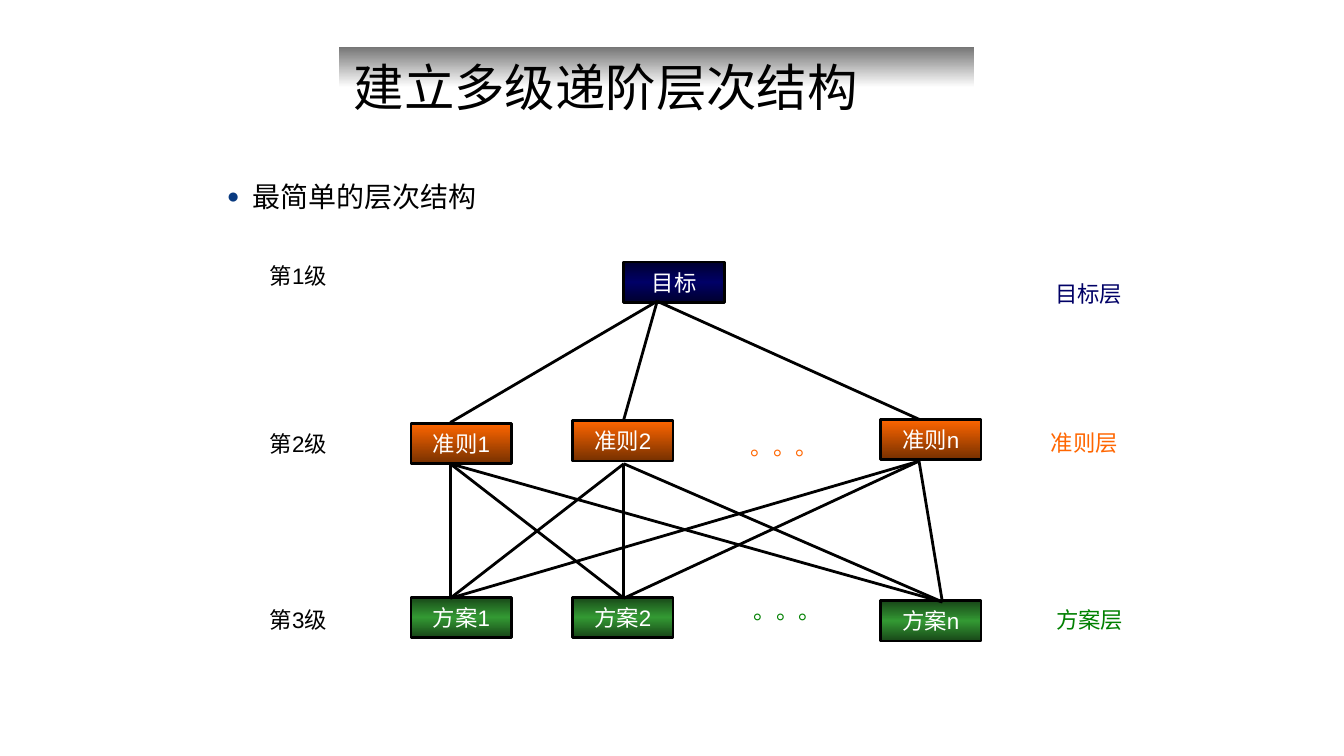
import copy
import itertools

import pptx
import pptx.dml.color
import pptx.enum.shapes
import pptx.enum.text
import pptx.oxml.ns
import pptx.util
from lxml import etree

Cm, Pt = pptx.util.Cm, pptx.util.Pt
qn = pptx.oxml.ns.qn
ALIGN = pptx.enum.text.PP_ALIGN
ANCHOR = pptx.enum.text.MSO_ANCHOR
RECT = pptx.enum.shapes.MSO_SHAPE.RECTANGLE
LINE = pptx.enum.shapes.MSO_CONNECTOR.STRAIGHT

HEX = {"black": "000000", "white": "FFFFFF", "gray": "767676", "bullet": "093A80",
       "navy": "000066", "navy dark": "00002F",
       "orange": "FF6600", "orange dark": "763000",
       "green": "339933", "green dark": "184718", "green text": "008000"}
BAND = ["gray", "white"]
GOAL = ["navy dark", "navy", "navy dark"]
RULE = ["orange", "orange dark"]
PLAN = ["green dark", "green", "green dark"]
NODE_W, NODE_H = 1.9, 0.76


def rgb(name):
    return pptx.dml.color.RGBColor.from_string(HEX[name])


def apply(obj, vals):
    for key, val in vals.items():
        setattr(obj, key, val)


def place(shape, x, y, w, h):
    apply(shape, {"left": Cm(x), "top": Cm(y), "width": Cm(w), "height": Cm(h)})


def write(shape, text, size, color, align=ALIGN.LEFT, anchor=ANCHOR.TOP, wrap=True):
    frame = shape.text_frame
    apply(frame, {"auto_size": pptx.enum.text.MSO_AUTO_SIZE.NONE,
                  "word_wrap": wrap, "vertical_anchor": anchor})
    para = frame.paragraphs[0]
    apply(para, {"alignment": align, "space_before": Pt(0)})
    run = para.add_run()
    run.text = text
    apply(run.font, {"name": "Arial", "size": Pt(size)})
    run.font.color.rgb = rgb(color)
    return para


def shade(shape, names):
    """Fill from top to bottom with evenly spaced colours."""
    shape.fill.gradient()
    shape.fill.gradient_angle = 270
    stops = shape._element.spPr.find(qn("a:gradFill")).find(qn("a:gsLst"))
    while len(stops) < len(names):
        stops.append(copy.deepcopy(stops[-1]))
    for i, (stop, name) in enumerate(zip(shape.fill.gradient_stops, names)):
        stop.position = i / (len(names) - 1)
        stop.color.rgb = rgb(name)


def block(slide, x, y, w, h, names):
    shape = slide.shapes.add_shape(RECT, Cm(x), Cm(y), Cm(w), Cm(h))
    shape.shadow.inherit = False
    shade(shape, names)
    return shape


def node(slide, x, y, text, names):
    shape = block(slide, x, y, NODE_W, NODE_H, names)
    shape.line.color.rgb = rgb("black")
    shape.line.width = Pt(1.5)
    write(shape, text, 12, "white", ALIGN.CENTER, ANCHOR.MIDDLE, False)


def label(slide, x, y, w, text, color):
    box = slide.shapes.add_textbox(Cm(x), Cm(y), Cm(w), Cm(NODE_H))
    write(box, text, 12, color)


def link(slide, x, y, start, end):
    line = slide.shapes.add_connector(
        LINE, Cm(x + start[0]), Cm(y + start[1]), Cm(x + end[0]), Cm(y + end[1]))
    line.line.color.rgb = rgb("black")
    line.line.width = Pt(1.5)
    etree.SubElement(line._element.spPr, qn("a:effectLst"))


def head(slide, x, y, w, h):
    band = block(slide, x, y, w, h, BAND)
    band.line.fill.background()
    slide.shapes._spTree.insert(2, band._element)
    title = slide.shapes.title
    place(title, x + 0.03, y + 0.05, 10.13, 1.42)
    write(title, "建立多级递阶层次结构", 27, "black")


def body(slide, x, y, w, h):
    shape = slide.placeholders[1]
    place(shape, x, y, w, h)
    apply(shape.text_frame, {"margin_left": Cm(0.18), "margin_right": Cm(0.18),
                             "margin_top": Cm(0.1), "margin_bottom": Cm(0.1)})
    para = write(shape, "最简单的层次结构", 15, "black")
    para.line_spacing = 0.95
    props = para._p.get_or_add_pPr()
    props.set("marL", str(Cm(0.48)))
    props.set("indent", str(-Cm(0.48)))
    tint = etree.SubElement(props, qn("a:buClr"))
    etree.SubElement(tint, qn("a:srgbClr"), val=HEX["bullet"])
    etree.SubElement(props, qn("a:buSzPct"), val="75000")
    etree.SubElement(props, qn("a:buFont"), typeface="Arial")
    etree.SubElement(props, qn("a:buChar"), char="●")


def tree(slide, x, y):
    """Three levels of nodes with side labels and links."""
    for i, top in enumerate([0, 3.17, 6.5], 1):
        label(slide, x, y + top, 1.6, f"第{i}级", "black")
    for left, top, text, color in [
            (14.84, 0.33, "目标层", "navy"), (14.76, 3.15, "准则层", "orange"),
            (14.86, 6.5, "方案层", "green text"),
            (9.09, 3.22, "。。。", "orange"), (9.15, 6.32, "。。。", "green text")]:
        label(slide, x + left, y + top, 1.8, text, color)

    node(slide, x + 6.94, y + 0.12, "目标", GOAL)
    cols = [(2.92, "1"), (5.97, "2"), (11.79, "n")]
    for text, names, tops in [("准则", RULE, [3.17, 3.12, 3.09]),
                              ("方案", PLAN, [6.45, 6.45, 6.52])]:
        for (left, mark), top in zip(cols, tops):
            node(slide, x + left, y + top, text + mark, names)

    hub = (7.57, 0.86)
    tops = [(3.66, 3.15), (6.94, 3.09), (12.52, 3.09)]
    feet = [(3.66, 3.93), (6.94, 3.93), (12.52, 3.88)]
    plans = [(3.66, 6.47), (6.94, 6.47), (12.96, 6.54)]
    for start, end in itertools.chain(itertools.product([hub], tops),
                                      itertools.product(feet, plans)):
        link(slide, x, y, start, end)


def main():
    deck = pptx.Presentation()
    apply(deck, {"slide_width": Cm(25.4), "slide_height": Cm(14.28)})
    slide = deck.slides.add_slide(deck.slide_layouts[1])
    head(slide, 6.4, 0.89, 12.01, 0.76)
    body(slide, 4.11, 3.33, 17.15, 1.02)
    tree(slide, 4.85, 4.83)
    deck.save("out.pptx")


if __name__ == "__main__":
    main()
